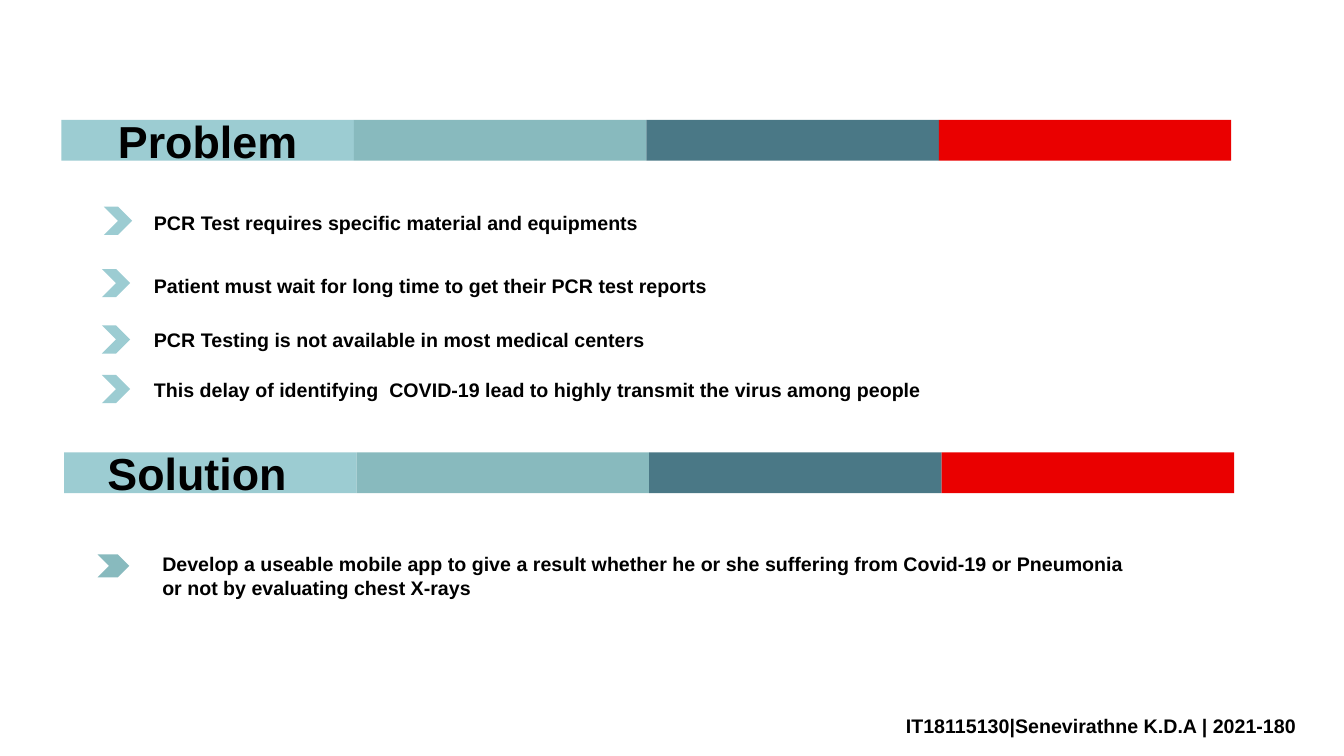
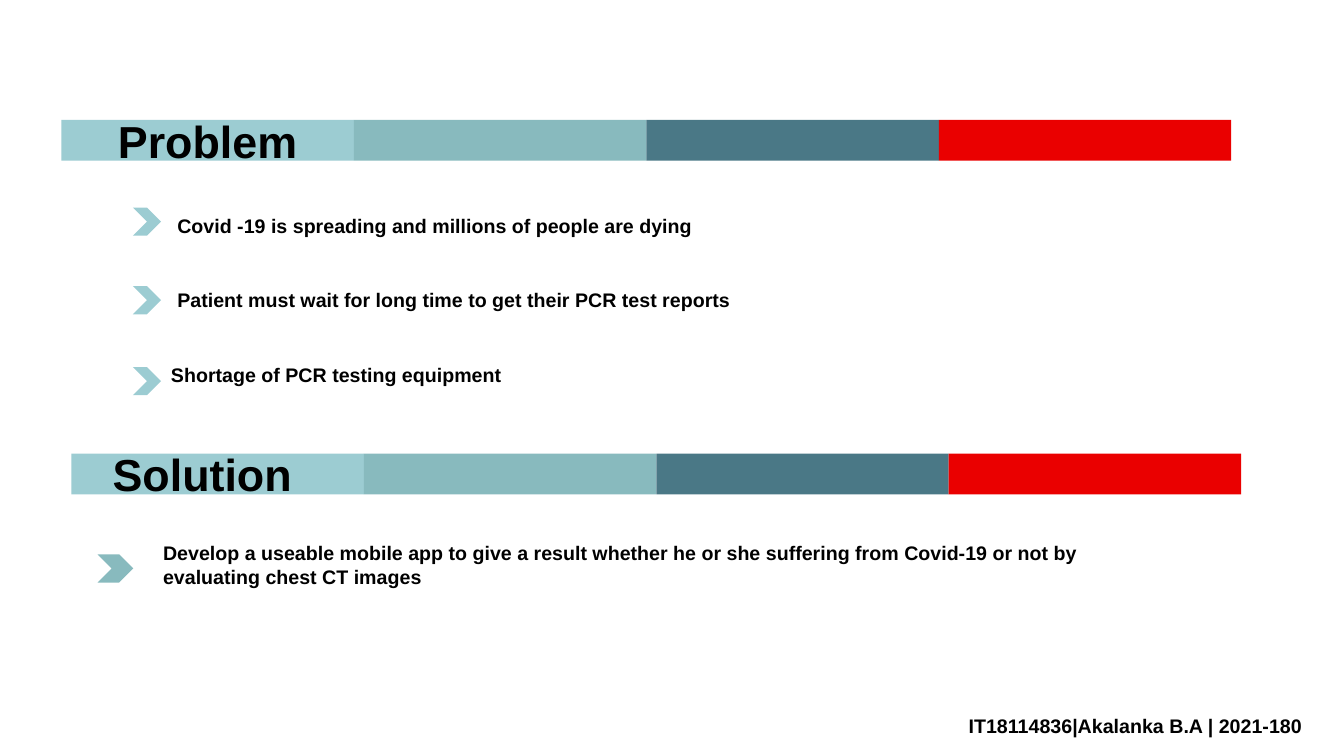
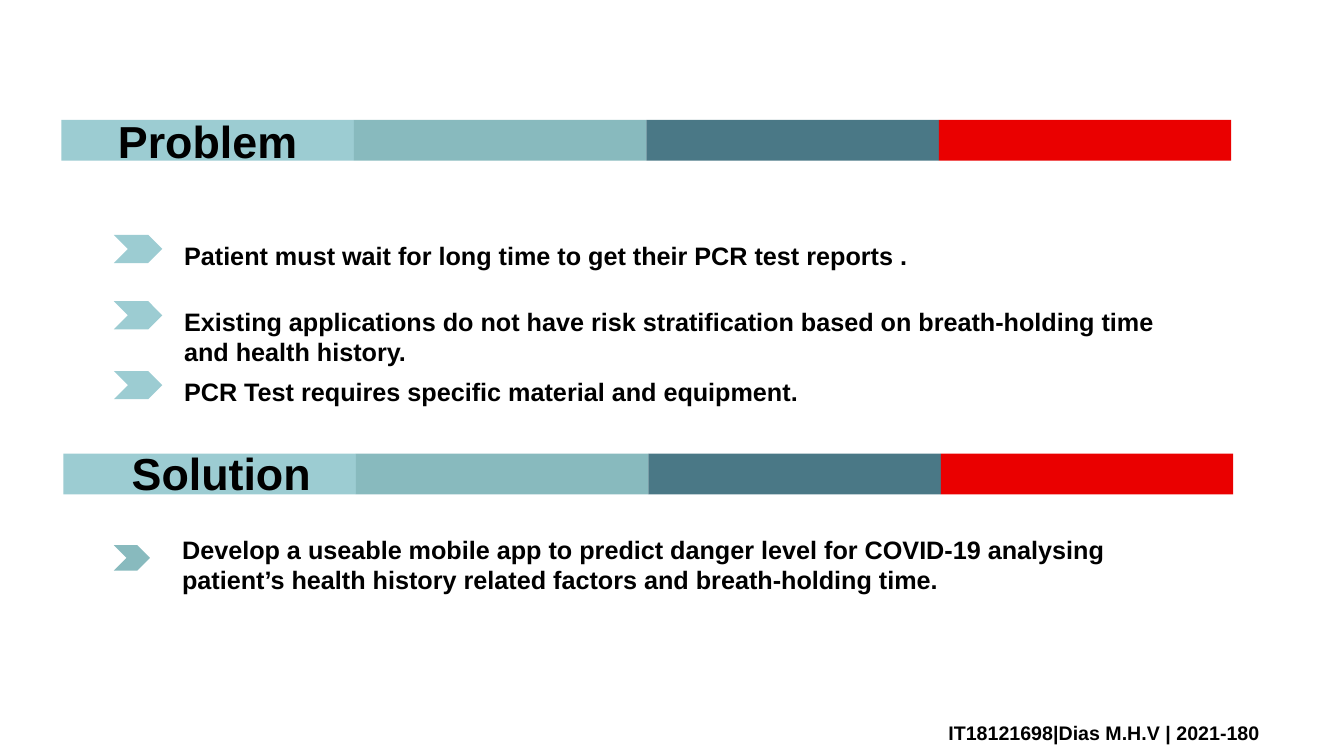
import dataclasses
import typing

import pptx
import pptx.dml.color
import pptx.enum.shapes
import pptx.enum.text
import pptx.util

Cm = pptx.util.Cm
Kind = pptx.enum.shapes.MSO_SHAPE
Align = pptx.enum.text.PP_ALIGN
Anchor = pptx.enum.text.MSO_ANCHOR
Fit = pptx.enum.text.MSO_AUTO_SIZE

INK = {
    "pale": "9CCCD2",
    "sage": "88BABE",
    "slate": "4A7886",
    "red": "EA0000",
    "black": "000000",
}
BAND = ("pale", "sage", "slate", "red")
FONT = "Arial"
HEAD = 32
PART = 7.37
BAND_H = 1.03


@dataclasses.dataclass(frozen=True)
class Arrow:
    left: float
    top: float
    width: float = 0.71
    height: float = 0.71
    fill: str = "pale"


@dataclasses.dataclass(frozen=True)
class Item:
    text: str
    left: float
    top: float
    width: float
    arrow: Arrow
    size: int = 14
    lines: int = 1


@dataclasses.dataclass(frozen=True)
class Page:
    band: tuple[float, float]
    title: tuple[float, float]
    foot: tuple[str, float, float]
    items: tuple[Item, ...]


PAGES = (
    Page(
        band=(1.62, 11.4),
        title=(2.46, 11.1),
        foot=("IT18115130|Senevirathne K.D.A | 2021-180", 22.58, 17.86),
        items=(
            Item("PCR Test requires specific material and equipments", 3.63, 5.18, 13.74, Arrow(2.62, 5.21)),
            Item("Patient must wait for long time to get their PCR test reports", 3.63, 6.78, 17.45, Arrow(2.57, 6.78)),
            Item("PCR Testing is not available in most medical centers", 3.63, 8.13, 13.16, Arrow(2.57, 8.2)),
            Item(
                "This delay of identifying  COVID-19 lead to highly transmit the virus among people",
                3.63, 9.4, 20.42, Arrow(2.57, 9.45),
            ),
            Item(
                "Develop a useable mobile app to give a result whether he or she suffering from "
                "Covid-19 or Pneumonia or not by evaluating chest X-rays",
                3.84, 13.79, 25, Arrow(2.46, 13.97, 0.8, 0.58, "sage"), lines=2,
            ),
        ),
    ),
    Page(
        band=(1.8, 11.43),
        title=(2.59, 11.14),
        foot=("IT18114836|Akalanka B.A | 2021-180", 24.16, 17.86),
        items=(
            Item("Covid -19 is spreading and millions of people are dying", 4.22, 5.26, 16.69, Arrow(3.35, 5.23)),
            Item("Patient must wait for long time to get their PCR test reports", 4.22, 7.14, 16.69, Arrow(3.35, 7.21)),
            Item("Shortage of PCR testing equipment", 4.06, 9.02, 16.69, Arrow(3.35, 9.25)),
            Item(
                "Develop a useable mobile app to give a result whether he or she suffering from "
                "Covid-19 or not by evaluating chest CT images",
                3.86, 13.51, 25, Arrow(2.46, 13.97, 0.9, 0.71, "sage"), lines=2,
            ),
        ),
    ),
    Page(
        band=(1.6, 11.43),
        title=(3.07, 11.1),
        foot=("IT18121698|Dias M.H.V | 2021-180", 23.65, 18.03),
        items=(
            Item(
                "Patient must wait for long time to get their PCR test reports .",
                4.39, 5.94, 25.2, Arrow(2.87, 5.92, 1.22), 18,
            ),
            Item(
                "Existing applications do not have risk stratification based on breath-holding time "
                "and health history.",
                4.39, 7.59, 25.2, Arrow(2.87, 7.59, 1.22), 18, 2,
            ),
            Item(
                "PCR Test requires specific material and equipment.",
                4.39, 9.37, 25.2, Arrow(2.87, 9.35, 1.22), 18,
            ),
            Item(
                "Develop a useable mobile app to predict danger level for COVID-19 analysing "
                "patient’s health history related factors and breath-holding time.",
                4.34, 13.34, 25.2, Arrow(2.87, 13.74, 0.91, 0.64, "sage"), 18, 2,
            ),
        ),
    ),
)


def tint(name: str) -> pptx.dml.color.RGBColor:
    return pptx.dml.color.RGBColor.from_string(INK[name])


def block(slide: typing.Any, kind: Kind, left: float, top: float, width: float, height: float, fill: str) -> typing.Any:
    shape = slide.shapes.add_shape(kind, Cm(left), Cm(top), Cm(width), Cm(height))
    shape.shadow.inherit = False
    shape.fill.solid()
    shape.fill.fore_color.rgb = tint(fill)
    shape.line.fill.background()
    return shape


def write(shape: typing.Any, text: str, *, size: int = 14, align: Align = Align.LEFT, anchor: Anchor = Anchor.TOP) -> None:
    frame = shape.text_frame
    frame.word_wrap = True
    frame.vertical_anchor = anchor
    para = frame.paragraphs[0]
    para.alignment = align
    run = para.add_run()
    run.text = text
    run.font.name = FONT
    run.font.size = pptx.util.Pt(size)
    run.font.bold = True
    run.font.color.rgb = tint("black")


def label(slide: typing.Any, text: str, left: float, top: float, width: float, size: int = 14, lines: int = 1) -> None:
    height = round(0.26 + lines * size * 0.0425, 2)
    box = slide.shapes.add_textbox(Cm(left), Cm(top), Cm(width), Cm(height))
    box.text_frame.auto_size = Fit.SHAPE_TO_FIT_TEXT
    write(box, text, size=size)


def band(slide: typing.Any, left: float, top: float) -> typing.Any:
    parts = [
        block(slide, Kind.RECTANGLE, left + i * PART, top, PART, BAND_H, fill)
        for i, fill in enumerate(BAND)
    ]
    return parts[0]


def point(slide: typing.Any, item: Item) -> None:
    mark = item.arrow
    block(slide, Kind.CHEVRON, mark.left, mark.top, mark.width, mark.height, mark.fill)
    label(slide, item.text, item.left, item.top, item.width, item.size, item.lines)


def draw(deck: typing.Any, page: Page) -> None:
    slide = deck.slides.add_slide(deck.slide_layouts[6])
    write(band(slide, 1.55, 3.02), "Problem", size=HEAD, align=Align.CENTER, anchor=Anchor.MIDDLE)
    band(slide, *page.band)
    label(slide, "Solution", *page.title, 6, HEAD)
    for item in page.items:
        point(slide, item)
    text, left, top = page.foot
    label(slide, text, left, top, 33.86 - left)


def main() -> None:
    deck = pptx.Presentation()
    deck.slide_width = Cm(33.87)
    deck.slide_height = Cm(19.05)
    for page in PAGES:
        draw(deck, page)
    deck.save("out.pptx")


if __name__ == "__main__":
    main()
